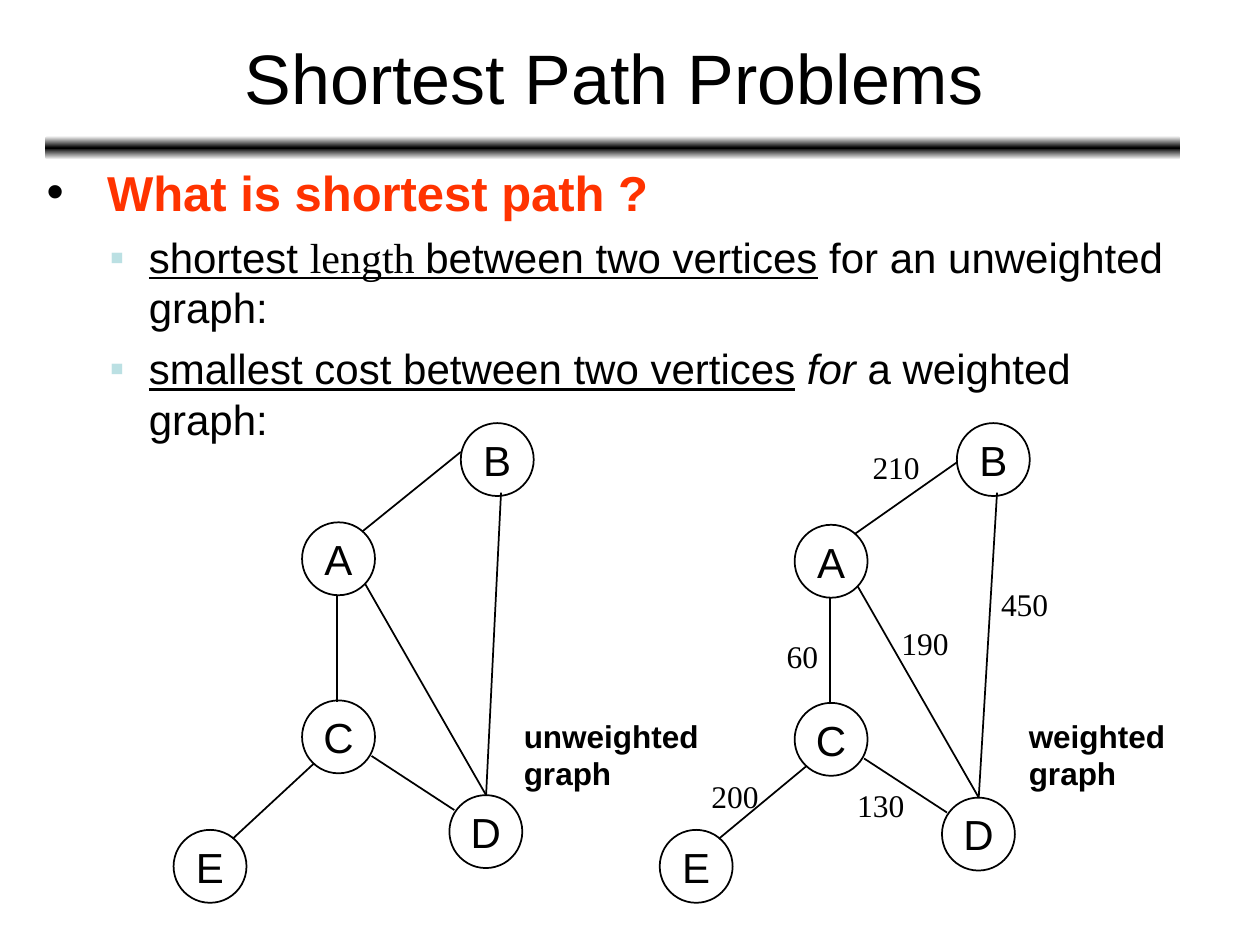
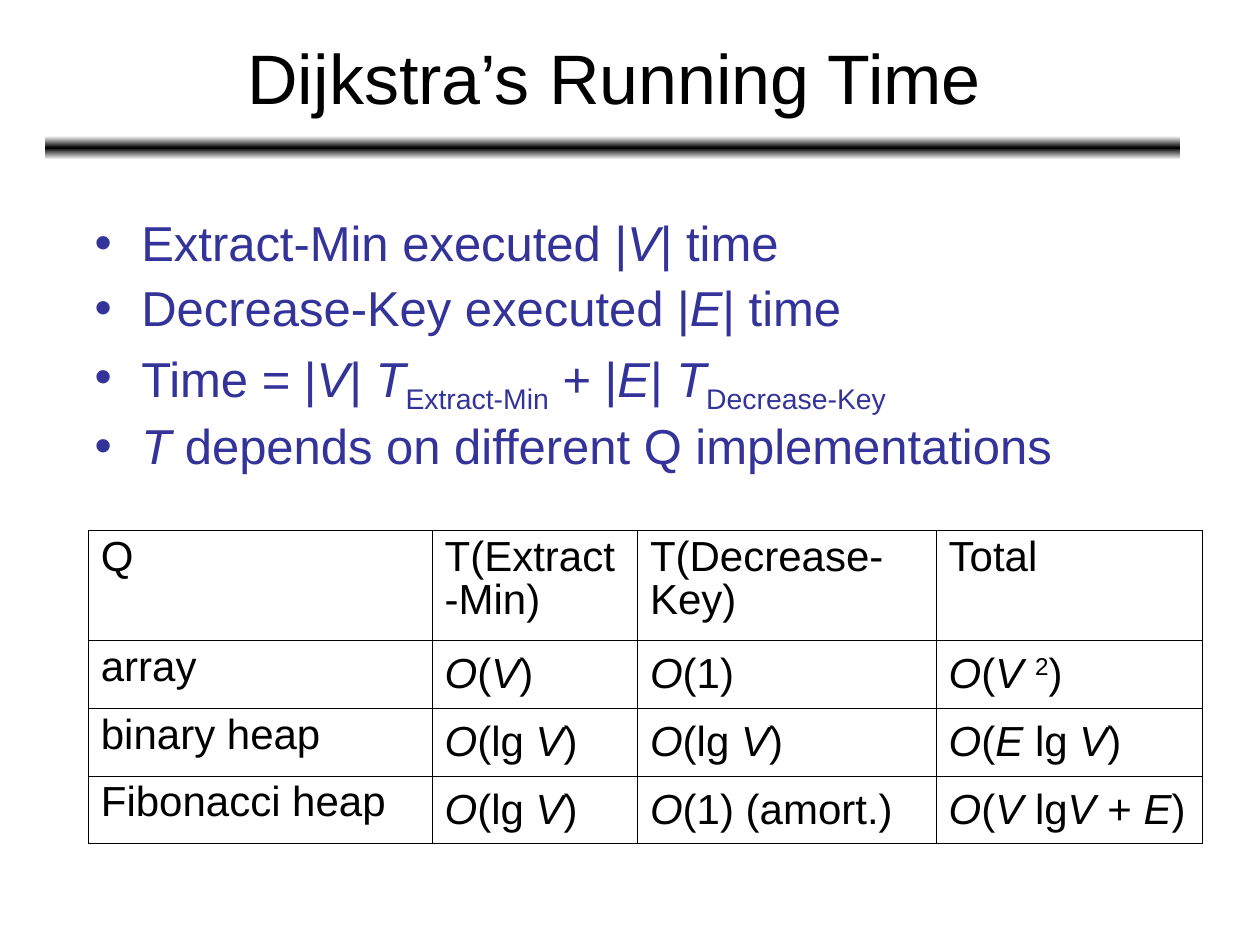
import pptx
import pptx.util
import pptx.dml.color
import pptx.enum.shapes
import pptx.enum.text
import pptx.oxml.ns
import lxml.etree

Cm = pptx.util.Cm
Pt = pptx.util.Pt
SHAPE = pptx.enum.shapes.MSO_SHAPE
CENTER = pptx.enum.text.PP_ALIGN.CENTER
MIDDLE = pptx.enum.text.MSO_ANCHOR.MIDDLE

BLACK, WHITE, RED, INDIGO, PALE = "000000", "FFFFFF", "FF3300", "333399", "BBE0E3"
SANS, SERIF = "Arial", "Times New Roman"
BASELINES = {"_": "-25000", "^": "30000"}
NODE_SIZE = 1.47


def color(value):
    """Turn a hex string into a colour."""
    return pptx.dml.color.RGBColor.from_string(value)


def add_element(parent, tag, **attributes):
    """Append a drawing element with attributes to a parent."""
    element = lxml.etree.SubElement(parent, pptx.oxml.ns.qn("a:" + tag))
    for name, value in attributes.items():
        element.set(name, str(value))
    return element


def write(para, pieces, size, tint=BLACK):
    """Fill a paragraph with (text, marks) pieces: b, i, u, t for serif, _ and ^."""
    for text, marks in pieces:
        span = para.add_run()
        span.text = text
        font = span.font
        font.size = Pt(size)
        font.name = SERIF if "t" in marks else SANS
        font.color.rgb = color(tint)
        font.bold = "b" in marks
        font.italic = "i" in marks
        font.underline = "u" in marks
        for mark in BASELINES.keys() & set(marks):
            span._r.get_or_add_rPr().set("baseline", BASELINES[mark])


def set_bullet(para, char, tint, indent, hanging):
    """Give a paragraph a coloured bullet and a hanging indent."""
    properties = para._p.get_or_add_pPr()
    properties.set("marL", str(Cm(indent)))
    properties.set("indent", str(-Cm(hanging)))
    add_element(add_element(properties, "buClr"), "srgbClr", val=tint)
    add_element(properties, "buFont", typeface=SANS)
    add_element(properties, "buChar", char=char)


def add_text(slide, left, top, width, height, wrap=True):
    """Add a text box and return its frame."""
    box = slide.shapes.add_textbox(Cm(left), Cm(top), Cm(width), Cm(height))
    box.text_frame.word_wrap = wrap
    return box.text_frame


def add_titled_slide(deck, title):
    """Add a slide with the gradient rule and a centred title."""
    slide = deck.slides.add_slide(deck.slide_layouts[6])
    rule = slide.shapes.add_shape(
        SHAPE.ROUNDED_RECTANGLE, Cm(0.91), Cm(2.74), Cm(22.89), Cm(0.48))
    rule.shadow.inherit = False
    rule.line.fill.background()
    rule.fill.gradient()
    rule.fill.gradient_angle = 270
    stops = rule.fill._fill._gradFill.gsLst
    for stop in list(stops):
        stops.remove(stop)
    for position, tint in ((0, WHITE), (50000, BLACK), (100000, WHITE)):
        add_element(add_element(stops, "gs", pos=position), "srgbClr", val=tint)

    frame = add_text(slide, 0.95, 0.28, 22.86, 2.51)
    frame.vertical_anchor = MIDDLE
    frame.paragraphs[0].alignment = CENTER
    write(frame.paragraphs[0], [(title, "")], 40)
    return slide


def add_definition(slide, left, top, width, height):
    """Place the question and its two definitions in a box."""
    frame = add_text(slide, left, top, width, height)
    frame.margin_top = 0
    question = frame.paragraphs[0]
    set_bullet(question, "•", BLACK, 1.22, 1.22)
    write(question, [("What is shortest path ?", "b")], 28, RED)
    definitions = [
        [("shortest ", "u"), ("length ", "ut"), ("between two vertices", "u"),
         (" ", "b"), ("for an unweighted graph:", "")],
        [("smallest cost between two vertices", "u"), (" for", "i"),
         (" a weighted graph:", "")],
    ]
    for pieces in definitions:
        para = frame.add_paragraph()
        para.level = 1
        set_bullet(para, "▪", PALE, 2.06, 0.79)
        para.space_before = Pt(6)
        write(para, pieces, 24)


def add_graph(slide, left, top, nodes, entry, weights, caption, caption_left, caption_width):
    """Draw nodes, edges, weights and caption from a top-left corner."""
    for name, (x, y) in nodes.items():
        node = slide.shapes.add_shape(
            SHAPE.OVAL, Cm(left + x), Cm(top + y), Cm(NODE_SIZE), Cm(NODE_SIZE))
        node.shadow.inherit = False
        node.fill.background()
        node.line.color.rgb = color(BLACK)
        node.line.width = Pt(1)
        frame = node.text_frame
        frame.word_wrap = False
        frame.vertical_anchor = MIDDLE
        frame.paragraphs[0].alignment = CENTER
        write(frame.paragraphs[0], [(name, "")], 24)

    edges = [
        ("D", 0.74, 0, "B", 0.81, 1.4),
        ("A", 1.22, 0.18, "B", 0, entry),
        ("A", 1.27, 1.24, "D", 0.74, 0),
        ("C", 0.71, 0.03, "A", 0.71, NODE_SIZE),
        ("E", 1.19, 0.18, "C", 0.23, 1.28),
        ("C", 1.4, 1.12, "D", 0.1, 0.3),
    ]
    for start, start_x, start_y, end, end_x, end_y in edges:
        edge = slide.shapes.add_connector(
            pptx.enum.shapes.MSO_CONNECTOR.STRAIGHT,
            Cm(left + nodes[start][0] + start_x), Cm(top + nodes[start][1] + start_y),
            Cm(left + nodes[end][0] + end_x), Cm(top + nodes[end][1] + end_y))
        edge.line.color.rgb = color(BLACK)
        edge.line.width = Pt(1)
        add_element(edge._element.spPr, "effectLst")

    for weight, x, y in weights:
        frame = add_text(slide, left + x, top + y, 1.55, 1.02)
        write(frame.paragraphs[0], [(weight, "t")], 18)

    frame = add_text(slide, left + caption_left, top + 5.79, caption_width, 1.78)
    write(frame.paragraphs[0], [(caption, "b")], 18)


def add_steps(slide, left, top, width, height):
    """Place the running time bullets in a box."""
    frame = add_text(slide, left, top, width, height)
    frame.margin_top = 0
    steps = [
        [("Extract-Min executed |", ""), ("V", "i"), ("| time", "")],
        [("Decrease-Key executed |", ""), ("E", "i"), ("| time", "")],
        [("Time = |", ""), ("V", "i"), ("| ", ""), ("T", "i"), ("Extract-Min", "_"),
         (" + |", ""), ("E", "i"), ("| ", ""), ("T", "i"), ("Decrease-Key", "_")],
        [("T", "i"), (" depends on different Q implementations", "")],
    ]
    for index, pieces in enumerate(steps):
        para = frame.add_paragraph() if index else frame.paragraphs[0]
        set_bullet(para, "•", INDIGO, 0.94, 0.94)
        para.line_spacing = 0.9
        if index:
            para.space_before = Pt(7)
        write(para, pieces, 28, INDIGO)


def set_borders(cell, outer_sides):
    """Draw the four cell borders, heavier on the outer sides."""
    properties = cell._tc.get_or_add_tcPr()
    for side in "LRTB":
        width = Pt(0.5 if side in outer_sides else 0.23)
        line = add_element(properties, "ln" + side, w=width)
        add_element(add_element(line, "solidFill"), "srgbClr", val=BLACK)
    cell.fill.background()


def add_cost_table(slide, left, top, widths, heights):
    """Build the table of costs for each queue implementation."""
    log_cost = [("Ο", "i"), ("(lg ", ""), ("V", "i"), (")", "")]
    rows = [
        [[(text, "")] for text in ("Q", "T(Extract-Min)", "T(Decrease-Key)", "Total")],
        [[("array", "")],
         [("Ο", "i"), ("(", ""), ("V", "i"), (")", "")],
         [("Ο", "i"), ("(1)", "")],
         [("Ο", "i"), ("(", ""), ("V ", "i"), ("2", "^"), (")", "")]],
        [[("binary heap", "")], log_cost, log_cost,
         [("Ο", "i"), ("(", ""), ("E", "i"), (" lg ", ""), ("V", "i"), (")", "")]],
        [[("Fibonacci heap", "")], log_cost,
         [("Ο", "i"), ("(1) (amort.)", "")],
         [("Ο", "i"), ("(", ""), ("V", "i"), (" lg", ""), ("V", "i"), (" + ", ""),
          ("E", "i"), (")", "")]],
    ]
    table = slide.shapes.add_table(
        len(heights), len(widths), Cm(left), Cm(top), Cm(sum(widths)), Cm(sum(heights))).table
    table.first_row = table.horz_banding = False
    for column, width in zip(table.columns, widths):
        column.width = Cm(width)
    for r, height in enumerate(heights):
        table.rows[r].height = Cm(height)
        for c, pieces in enumerate(rows[r]):
            cell = table.cell(r, c)
            edges = {"L": c == 0, "R": c == len(widths) - 1,
                     "T": r == 0, "B": r == len(heights) - 1}
            set_borders(cell, [side for side, outer in edges.items() if outer])
            para = cell.text_frame.paragraphs[0]
            para.line_spacing = 1.09 if r and c else 0.93
            write(para, pieces, 24)


def build_problem_slide(deck):
    """Build the slide that defines shortest paths."""
    slide = add_titled_slide(deck, "Shortest Path Problems")
    add_definition(slide, 0.69, 3.27, 23.01, 5.5)
    add_graph(
        slide, 3.5, 8.53,
        {"B": (5.79, 0), "D": (5.56, 7.5), "C": (2.59, 5.59), "A": (2.59, 2), "E": (0, 8.2)},
        0.58, [], "unweighted graph", 6.81, 4.19)
    weights = [("200", 0.79, 7), ("60", 2.31, 4.18), ("130", 3.73, 7.19),
               ("190", 4.62, 3.92), ("450", 6.63, 3.13), ("210", 4.04, 0.38)]
    add_graph(
        slide, 13.3, 8.53,
        {"B": (5.99, 0), "D": (5.69, 7.55), "C": (2.72, 5.64), "A": (2.72, 2.05), "E": (0, 8.2)},
        0.79, weights, "weighted graph", 7.19, 3.99)


def build_running_time_slide(deck):
    """Build the slide on the running time of the algorithm."""
    slide = add_titled_slide(deck, "Dijkstra’s Running Time")
    add_steps(slide, 1.66, 4.42, 23.22, 4.85)
    add_cost_table(slide, 1.78, 10.69, (6.93, 4.14, 6.02, 5.36), (2.21, 1.37, 1.37, 1.37))


def main():
    """Build both slides and save the deck."""
    deck = pptx.Presentation()
    deck.slide_width, deck.slide_height = Cm(25.4), Cm(19.05)
    build_problem_slide(deck)
    build_running_time_slide(deck)
    deck.save("out.pptx")


if __name__ == "__main__":
    main()
